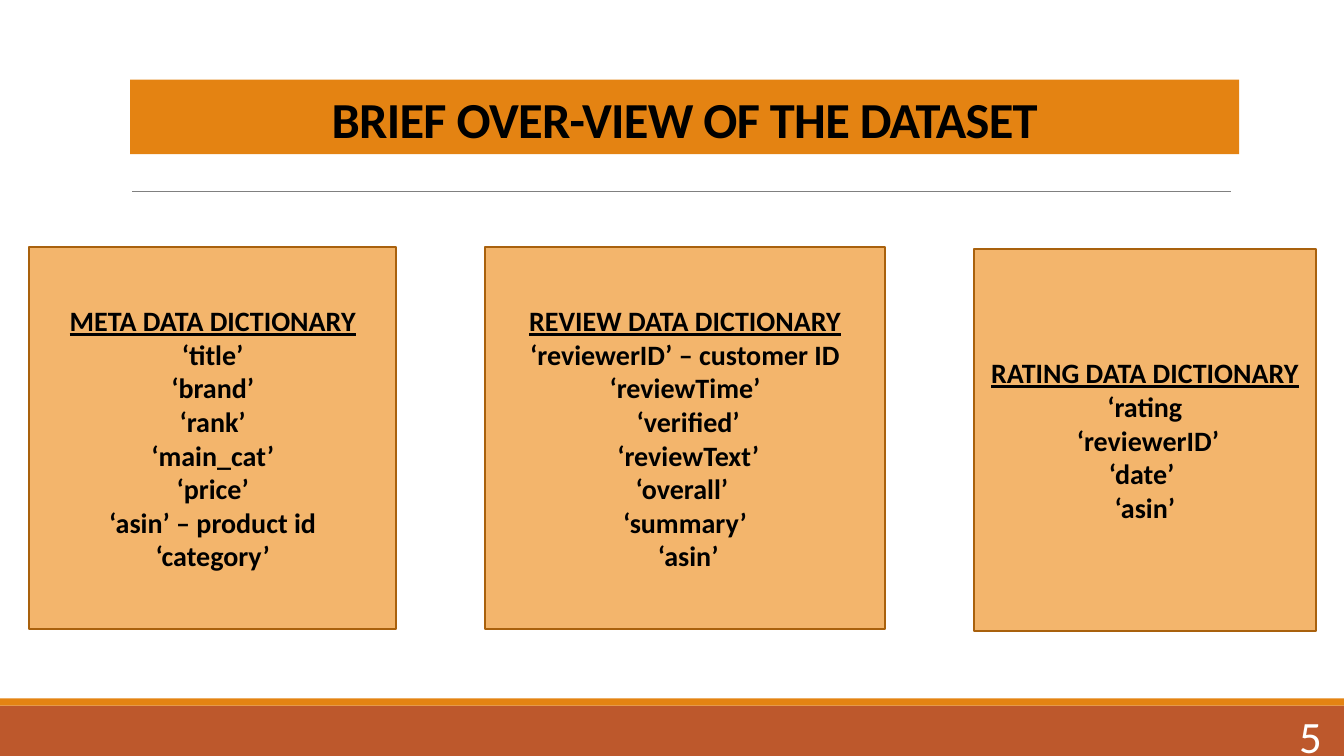
from dataclasses import dataclass

from lxml.etree import SubElement
from pptx import Presentation
from pptx.dml.color import RGBColor
from pptx.enum.shapes import MSO_CONNECTOR, MSO_SHAPE
from pptx.enum.text import MSO_ANCHOR, PP_ALIGN
from pptx.oxml.ns import qn
from pptx.util import Inches, Pt


@dataclass(frozen=True)
class Theme:
    """Hold the colours, font and type sizes."""
    font: str = "Calibri"
    ink: str = "000000"
    white: str = "FFFFFF"
    orange: str = "E48312"
    rust: str = "BD582C"
    peach: str = "F3B56C"
    edge: str = "A9610D"
    gray: str = "808080"
    head: int = 36
    body: int = 20
    page: int = 32


THEME = Theme()

CARDS = [
    ((0.29, 2.45, 3.64, 3.79), [
        "META DATA DICTIONARY", "‘title’", "‘brand’", "‘rank’",
        "‘main_cat’", "‘price’", "‘asin’ – product id", "‘category’"]),
    ((4.81, 2.45, 3.97, 3.79), [
        "REVIEW DATA DICTIONARY", "‘reviewerID’ – customer ID",
        "‘reviewTime’", " ‘verified’", " ‘reviewText’", "‘overall’ ",
        "‘summary’", " ‘asin’"]),
    ((9.66, 2.47, 3.39, 3.79), [
        "RATING DATA DICTIONARY", "‘rating", " ‘reviewerID’", "‘date’ ",
        "‘asin’"]),
]


def apply(item, form):
    """Set each attribute named in a dict of format values."""
    for name, value in form.items():
        setattr(item, name, value)


def add_block(slide, box, fill, edge=None):
    """Add a flat rectangle with an optional outline."""
    shape = slide.shapes.add_shape(MSO_SHAPE.RECTANGLE, *map(Inches, box))
    shape.shadow.inherit = False
    shape.fill.solid()
    shape.fill.fore_color.rgb = RGBColor.from_string(fill)
    if edge:
        shape.line.color.rgb = RGBColor.from_string(edge)
        shape.line.width = Pt(1.25)
    else:
        shape.line.fill.background()
    return shape


def add_line(para, text, size, color, **form):
    """Write one run into a paragraph."""
    run = para.add_run()
    run.text = text
    apply(run.font, {"name": THEME.font, "size": Pt(size), **form})
    run.font.color.rgb = RGBColor.from_string(color)
    return run


def add_title(slide, box, text):
    """Place the title banner and the thin rule below it."""
    left, top, _, height = box
    frame = add_block(slide, box, THEME.orange).text_frame
    apply(frame, {"word_wrap": True, "vertical_anchor": MSO_ANCHOR.BOTTOM})
    para = frame.paragraphs[0]
    apply(para, {"alignment": PP_ALIGN.CENTER, "line_spacing": 0.85})
    run = add_line(para, text, THEME.head, THEME.ink, bold=True)
    run.font._element.set("spc", "-50")
    start, level = left + 0.02, top + height + 0.37
    rule = slide.shapes.add_connector(
        MSO_CONNECTOR.STRAIGHT,
        *map(Inches, (start, level, start + 10.9, level)))
    rule.line.color.rgb = RGBColor.from_string(THEME.gray)
    rule.line.width = Pt(0.5)
    SubElement(rule._element.spPr, qn("a:effectLst"))


def add_card(slide, box, lines):
    """Place a card whose first line is an underlined heading."""
    frame = add_block(slide, box, THEME.peach, THEME.edge).text_frame
    apply(frame, {"word_wrap": True, "vertical_anchor": MSO_ANCHOR.MIDDLE})
    for index, text in enumerate(lines):
        para = frame.add_paragraph() if index else frame.paragraphs[0]
        para.alignment = PP_ALIGN.CENTER
        add_line(para, text, THEME.body, THEME.ink,
                 bold=True, underline=index == 0)


def add_foot(slide, box, page):
    """Place the footer bands and the page number."""
    left, top, width, height = box
    band = 0.07
    add_block(slide, (left, top + band, width, height - band), THEME.rust)
    add_block(slide, (left, top, width, band), THEME.orange)
    place = (left + width - 1.55, top + 0.17, 1.43, 0.4)
    frame = slide.shapes.add_textbox(*map(Inches, place)).text_frame
    apply(frame, {"word_wrap": True, "vertical_anchor": MSO_ANCHOR.MIDDLE})
    para = frame.paragraphs[0]
    para.alignment = PP_ALIGN.RIGHT
    add_line(para, page, THEME.page, THEME.white)


def main():
    """Build the slide and save it."""
    deck = Presentation()
    apply(deck, {"slide_width": Inches(13.33), "slide_height": Inches(7.5)})
    slide = deck.slides.add_slide(deck.slide_layouts[6])
    add_title(slide, (1.29, 0.79, 11, 0.74), "BRIEF OVER-VIEW OF THE DATASET")
    for box, lines in CARDS:
        add_card(slide, box, lines)
    add_foot(slide, (0, 6.93, 13.33, 0.57), "5")
    deck.save("out.pptx")


if __name__ == "__main__":
    main()
